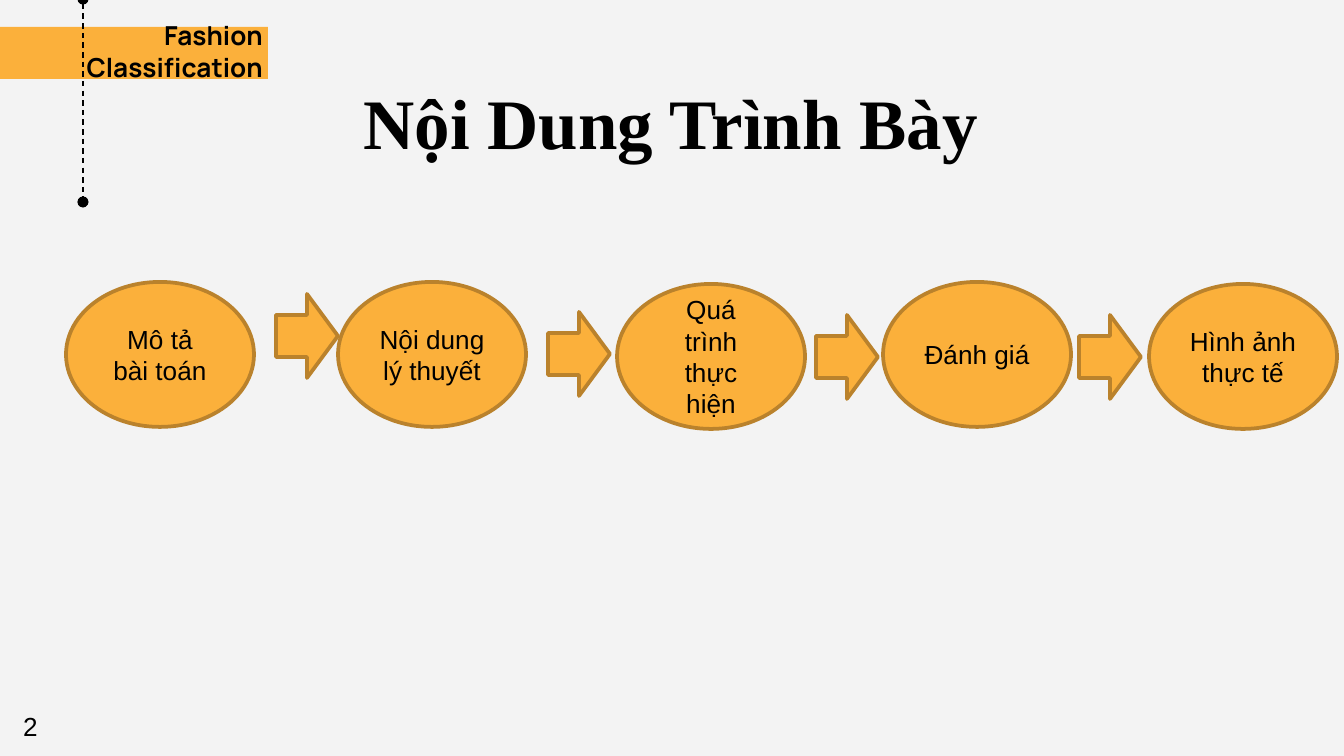
from lxml.etree import SubElement
from pptx import Presentation
from pptx.dml.color import RGBColor
from pptx.enum.dml import MSO_LINE as Dash
from pptx.enum.shapes import MSO_CONNECTOR as Conn, MSO_SHAPE as Kind
from pptx.enum.text import MSO_ANCHOR as Anchor, PP_ALIGN as Align
from pptx.oxml.ns import qn
from pptx.util import Pt

PX = 914400 / 134.4
INK, GOLD, EDGE, PAPER = "000000", "FBB03B", "BA822C", "F3F3F3"
TITLE = "Nội Dung Trình Bày"
LABEL = "Fashion Classification"
PAGE = "2"
STEPS = [
    ("Mô tả bài toán", 66, 282),
    ("Nội dung lý thuyết", 338, 282),
    ("Quá trình thực hiện", 617, 284),
    ("Đánh giá", 883, 282),
    ("Hình ảnh thực tế", 1149, 284),
]
ARROWS = [(276, 294), (548, 312), (816, 315), (1079, 315)]
OVAL = (188, 145)
ARROW = (62, 84)


def px(*nums):
    return [round(n * PX) for n in nums]


def rgb(code):
    return RGBColor.from_string(code)


def write(shape, text, align, anchor, size=14, font="Arial", bold=False):
    frame = shape.text_frame
    frame.word_wrap = True
    frame.vertical_anchor = anchor
    para = frame.paragraphs[0]
    para.alignment = align
    run = para.add_run()
    run.text = text
    run.font.size = Pt(size)
    run.font.name = font
    run.font.bold = bold
    run.font.color.rgb = rgb(INK)


def pad(shape, side, top):
    frame = shape.text_frame
    frame.margin_left = frame.margin_right = px(side)[0]
    frame.margin_top = frame.margin_bottom = px(top)[0]


def draw(kind, x, y, size, edge=None):
    shape = slide.shapes.add_shape(kind, *px(x, y, *size))
    shape.shadow.inherit = False
    shape.fill.solid()
    shape.fill.fore_color.rgb = rgb(GOLD)
    if edge:
        shape.line.color.rgb = rgb(edge)
        shape.line.width = Pt(2)
    else:
        shape.line.fill.background()
    return shape


def box(*place):
    return slide.shapes.add_textbox(*px(*place))


deck = Presentation()
deck.slide_width, deck.slide_height = px(1344, 756)
slide = deck.slides.add_slide(deck.slide_layouts[5])
slide.background.fill.solid()
slide.background.fill.fore_color.rgb = rgb(PAPER)

draw(Kind.RECTANGLE, -8, 27, (276, 52))
rule = slide.shapes.add_connector(Conn.STRAIGHT, *px(83, -1, 83, 202))
rule.line.color.rgb = rgb(INK)
rule.line.width = Pt(0.75)
rule.line.dash_style = Dash.DASH
line = rule.line._get_or_add_ln()
for end in ("a:headEnd", "a:tailEnd"):
    SubElement(line, qn(end), type="oval")
SubElement(rule._element.spPr, qn("a:effectLst"))

title = slide.shapes.title
title.left, title.top, title.width, title.height = px(83, 66, 1176, 85)
pad(title, 13, 13)
write(title, TITLE, Align.CENTER, Anchor.TOP, 38, "Times New Roman", True)

label = box(-16, 36, 292, 30)
pad(label, 13, 13)
write(label, LABEL, Align.RIGHT, Anchor.MIDDLE, font="Manrope", bold=True)

for text, x, y in STEPS:
    oval = draw(Kind.OVAL, x, y, OVAL, EDGE)
    write(oval, text, Align.CENTER, Anchor.MIDDLE)
for x, y in ARROWS:
    draw(Kind.RIGHT_ARROW, x, y, ARROW, EDGE)

write(box(10, 704, 60, 45), PAGE, Align.LEFT, Anchor.TOP)

deck.save("out.pptx")
